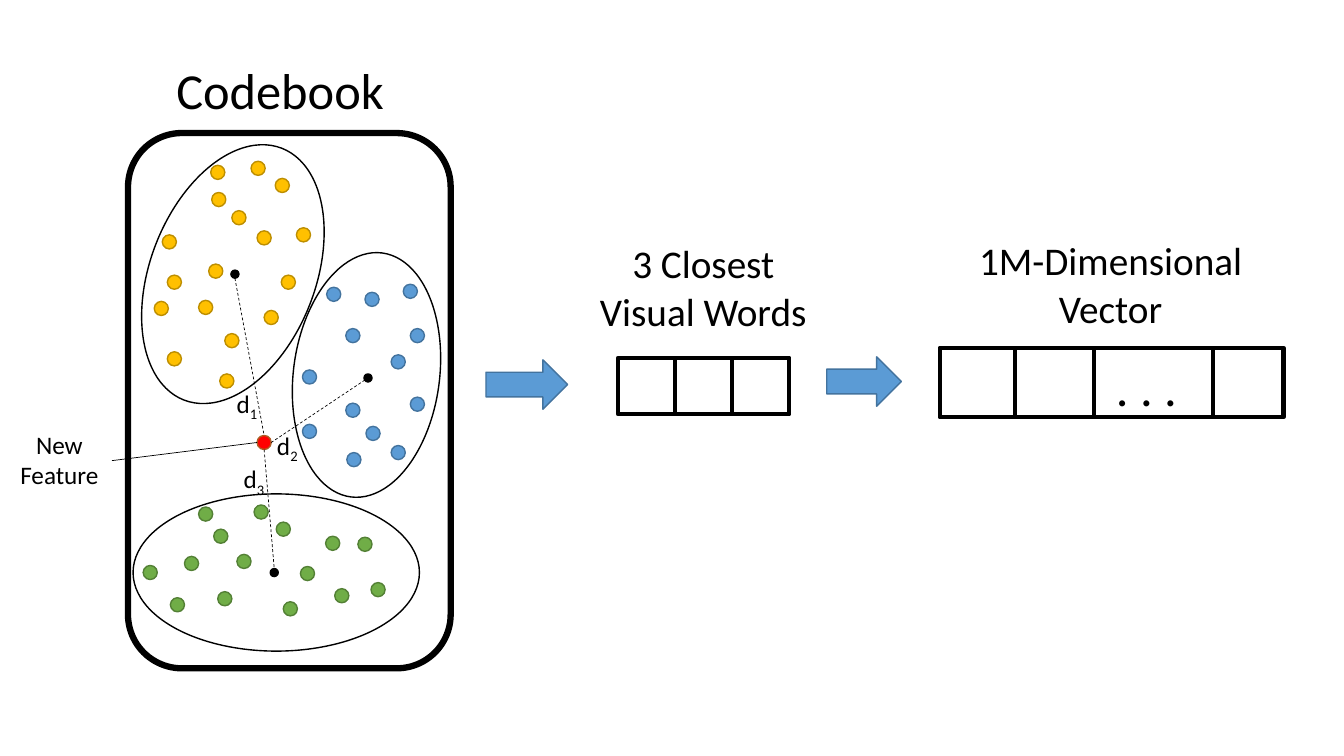
from lxml.etree import SubElement
from pptx import Presentation
from pptx.dml.color import RGBColor
from pptx.enum.dml import MSO_LINE
from pptx.enum.shapes import MSO_CONNECTOR as CONN, MSO_SHAPE as SHAPE
from pptx.enum.text import MSO_AUTO_SIZE as AUTO, MSO_ANCHOR as ANCHOR, PP_ALIGN as ALIGN
from pptx.oxml.ns import qn
from pptx.util import Inches, Pt

COLORS = {
    "black": "000000", "white": "FFFFFF",
    "yellow": "FFC000", "yellow_edge": "BD8E00",
    "blue": "5B9BD5", "blue_edge": "43739E",
    "green": "70AD47", "green_edge": "538035",
    "red": "FF0000", "red_edge": "AF5C24",
}
DOT = 0.14
CENTROID = 0.08

# Cluster places are measured from the top left of the codebook:
# color, ellipse box, rotation, centroid, link to the feature, label place, dots
CLUSTERS = [
    ("yellow", (0.22, 0.06, 1.64, 2.68), 21.2, (1.02, 1.36),
     ((1.06, 1.44), (1.35, 3.0)), (0.65, 2.48),
     [(1.03, 0.77), (1.52, 1.41), (1.28, 0.97), (1.46, 0.45), (0.83, 0.59), (0.34, 1.01),
      (0.82, 0.32), (1.67, 0.94), (1.22, 0.28), (0.8, 1.3), (1.35, 1.76), (0.7, 1.66),
      (0.96, 1.99), (0.26, 1.67), (0.39, 2.17), (0.91, 2.39), (0.39, 1.41)]),
    ("blue", (1.64, 1.18, 1.45, 2.44), 7.3, (2.34, 2.39),
     ((2.35, 2.45), (1.42, 3.07)), (1.05, 2.9),
     [(2.35, 1.58), (2.73, 1.5), (2.16, 1.94), (2.36, 2.91), (2.61, 2.2), (2.61, 3.1),
      (2.17, 3.17), (1.97, 1.53), (2.8, 1.94), (2.8, 2.62), (1.73, 2.89), (1.73, 2.35),
      (2.16, 2.68)]),
    ("green", (0.05, 3.58, 2.84, 1.56), 0, (1.41, 4.32),
     ((1.35, 3.14), (1.45, 4.32)), (0.72, 3.23),
     [(1.71, 4.3), (1.47, 3.86), (0.56, 4.2), (0.85, 3.93), (2.28, 4.01), (1.08, 4.18),
      (1.54, 4.65), (0.89, 4.55), (2.05, 4.52), (1.96, 4.0), (0.7, 3.71), (2.41, 4.46),
      (0.15, 4.29), (0.42, 4.61), (1.25, 3.69)]),
]


def rgb(name):
    return RGBColor.from_string(COLORS[name])


def add_shape(s, kind, box, fill=None, edge="black", width=1):
    sp = s.shapes.add_shape(kind, *map(Inches, box))
    sp.shadow.inherit = False
    if fill:
        sp.fill.solid()
        sp.fill.fore_color.rgb = rgb(fill)
    else:
        sp.fill.background()
    sp.line.color.rgb = rgb(edge)
    sp.line.width = Pt(width)
    return sp


def add_line(s, start, end, width, dashed=False):
    ln = s.shapes.add_connector(CONN.STRAIGHT, *map(Inches, (*start, *end)))
    SubElement(ln._element.spPr, qn("a:effectLst"))
    ln.line.color.rgb = rgb("black")
    ln.line.width = Pt(width)
    if dashed:
        ln.line.dash_style = MSO_LINE.DASH


def add_text(s, box, text, size, sub=None, wrap=True):
    tf = s.shapes.add_textbox(*map(Inches, box)).text_frame
    tf.word_wrap = wrap
    tf.auto_size = AUTO.SHAPE_TO_FIT_TEXT
    tf.vertical_anchor = ANCHOR.TOP
    p = tf.paragraphs[0]
    p.alignment = ALIGN.CENTER if wrap else ALIGN.LEFT
    for part in filter(None, (text, sub)):
        r = p.add_run()
        r.text = part
        r.font.size = Pt(size)
        r.font.name = "Calibri"
        r.font.color.rgb = rgb("black")
        if part == sub:
            r._r.get_or_add_rPr().set("baseline", "-25000")


def add_codebook(s, x, y, w, h):
    def at(point):
        return x + point[0], y + point[1]

    # Frame and title
    frame = add_shape(s, SHAPE.ROUNDED_RECTANGLE, (x, y, w, h), "white", width=4.5)
    frame.adjustments[0] = 0.1667
    add_text(s, (*at((0.38, -0.78)), 2.28, 0.71), "Codebook", 36, wrap=False)

    # Clusters with their dots
    for color, (cx, cy, cw, ch), angle, _, _, _, dots in CLUSTERS:
        for dot in dots:
            add_shape(s, SHAPE.OVAL, (*at(dot), DOT, DOT), color, color + "_edge")
        add_shape(s, SHAPE.OVAL, (*at((cx, cy)), cw, ch)).rotation = angle

    # New feature
    add_shape(s, SHAPE.OVAL, (*at((1.28, 3.0)), DOT, DOT), "red", "red_edge")
    add_line(s, at((1.28, 3.07)), at((-0.16, 3.25)), 0.5)
    add_text(s, (*at((-1.21, 2.89)), 1.06, 0.71), "New Feature", 18)

    # Centroids and distances
    for i, (_, _, _, centroid, (start, end), label, _) in enumerate(CLUSTERS, 1):
        add_shape(s, SHAPE.OVAL, (*at(centroid), CENTROID, CENTROID), "black")
        add_line(s, at(start), at(end), 0.5, dashed=True)
        add_text(s, (*at(label), 1.06, 0.4), "d", 18, sub=str(i))


def add_cells(s, x, y, w, h, dividers):
    add_shape(s, SHAPE.RECTANGLE, (x, y, w, h), width=3)
    for dx in dividers:
        add_line(s, (x + dx, y), (x + dx, y + h), 3)


def add_visual_words(s, x, y, w, h):
    add_cells(s, x, y, w, h, [w / 3, 2 * w / 3])
    add_text(s, (x - 0.31, y - 1.22, 2.31, 1.04), "3 Closest Visual Words", 28)


def add_vector(s, x, y, w, h):
    add_cells(s, x, y, w, h, [0.75, 1.53, 2.71])
    add_text(s, (x + 1.65, y + 0.03, 0.81, 0.71), ". . .", 36, wrap=False)
    add_text(s, (x + 0.23, y - 1.15, 2.93, 1.04), "1M-Dimensional Vector", 28)


def main():
    prs = Presentation()
    prs.slide_width, prs.slide_height = Inches(13.33), Inches(7.5)
    s = prs.slides.add_slide(prs.slide_layouts[6])

    add_codebook(s, 1.27, 1.32, 3.2, 5.31)
    add_visual_words(s, 6.13, 3.55, 1.7, 0.56)
    add_vector(s, 9.32, 3.45, 3.41, 0.69)

    # Arrows between the steps
    for box in [(4.82, 3.57, 0.81, 0.49), (8.2, 3.54, 0.74, 0.49)]:
        add_shape(s, SHAPE.RIGHT_ARROW, box, "blue", "blue_edge")

    prs.save("out.pptx")


if __name__ == "__main__":
    main()
